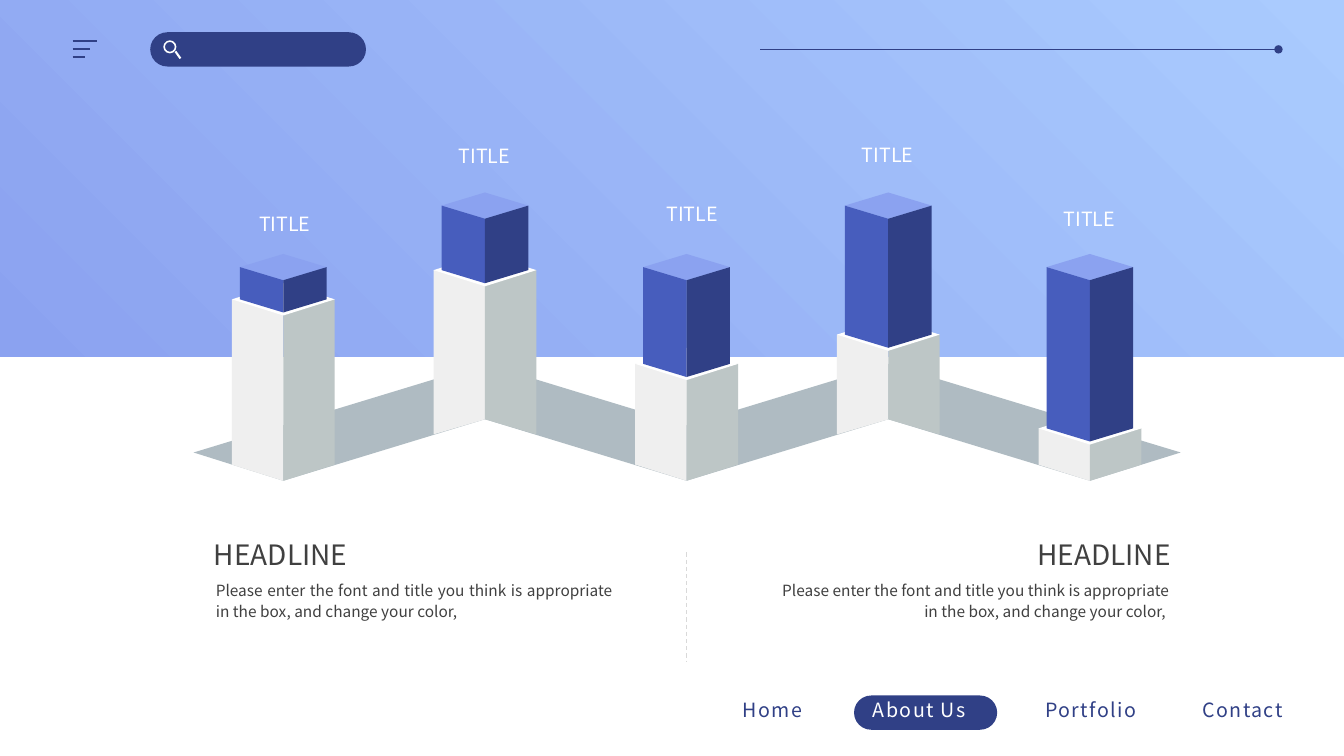
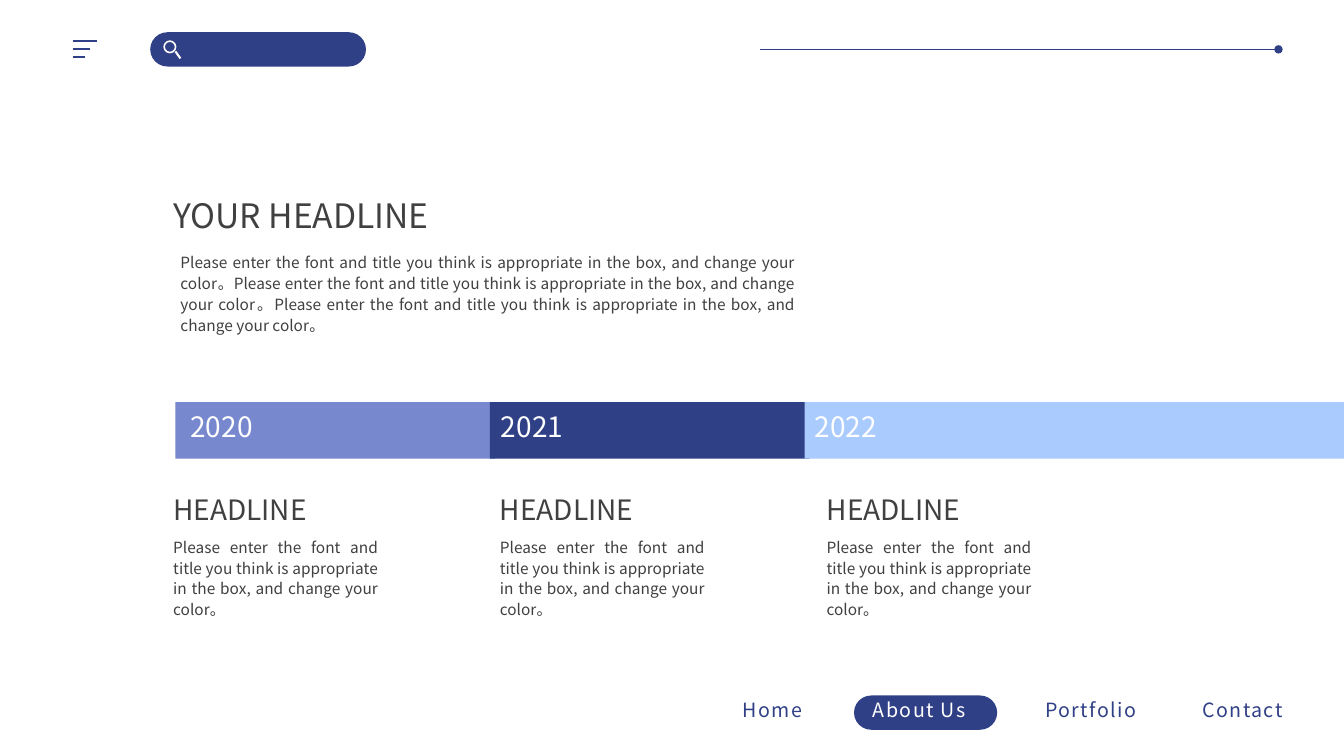
from dataclasses import dataclass

from lxml import etree
from pptx import Presentation
from pptx.dml.color import RGBColor
from pptx.enum.dml import MSO_LINE
from pptx.enum.shapes import MSO_CONNECTOR, MSO_SHAPE
from pptx.enum.text import MSO_ANCHOR, MSO_AUTO_SIZE, PP_ALIGN
from pptx.oxml.ns import qn
from pptx.util import Inches, Pt

LEFT, CENTER, RIGHT, JUSTIFY = (
    PP_ALIGN.LEFT, PP_ALIGN.CENTER, PP_ALIGN.RIGHT, PP_ALIGN.JUSTIFY)
RECT, PILL, DONUT = MSO_SHAPE.RECTANGLE, MSO_SHAPE.ROUNDED_RECTANGLE, MSO_SHAPE.DONUT
STRAIGHT, DASH = MSO_CONNECTOR.STRAIGHT, MSO_LINE.DASH
TOP = MSO_ANCHOR.TOP
FIT, NO_WRAP_FIT = MSO_AUTO_SIZE.SHAPE_TO_FIT_TEXT, False
TWO_CONTENT, TITLE_AND_CONTENT = 3, 1


@dataclass(frozen=True)
class Theme:
    font: str = "Noto Sans CJK SC"
    navy: str = "304086"
    blue: str = "475DBD"
    periwinkle: str = "8BA2F0"
    lavender: str = "7888CE"
    sky: str = "AACBFE"
    white: str = "FFFFFF"
    ink: str = "404040"
    rule: str = "D9D9D9"
    floor: str = "AFBBC2"
    pale: str = "EFEFEF"
    shade: str = "BDC6C6"
    title: int = 24
    headline: int = 20
    label: int = 14
    body: int = 11
    leading: int = 15


THEME = Theme()

# Content
NAV = [("Home", 7.27, 0.83), ("About Us", 8.56, 1.27),
       ("Portfolio", 10.27, 1.14), ("Contact", 11.83, 1.1)]
CURRENT_PAGE = "About Us"
PROMPT = "Please enter the font and title you think is appropriate in the box, and change your color"
HEADLINE = "HEADLINE"
# Towers: label, label left, label top, level of the blue block
TOWERS = [("TITLE", 2.18, 2.05, 1), ("TITLE", 4.16, 1.38, 2), ("TITLE", 6.22, 1.95, 3),
          ("TITLE", 8.16, 1.37, 4), ("TITLE", 10.16, 2.0, 5)]
# Timeline: year, year left, bar left, bar width, colour
YEARS = [("2020", 1.79, 1.74, 3.17, THEME.lavender),
         ("2021", 4.87, 4.86, 3.17, THEME.navy),
         ("2022", 7.98, 7.98, 5.35, THEME.sky)]

# Tower geometry
FIRST_TOWER, TOWER_STEP = 2.81, 2.0
LEVEL_HEIGHT = 0.32
BASE_HALF, BASE_DROP = 0.51, 0.16
BLOCK_HALF, BLOCK_DROP = 0.43, 0.13
# Block shoulder, foot at centre, foot at sides: front row, then back row
ROWS = [(2.65, 4.77, 4.61), (2.04, 4.16, 4.31)]
COLUMN_LEFT, COLUMN_STEP = 1.62, 3.24


def rgb(value):
    return RGBColor.from_string(value)


def put_text(slide, text, box, *, holder=None, size=THEME.body, color=THEME.ink,
             align=LEFT, leading=None, tracking=None, wrap=True):
    """Write text in a new box, or in a placeholder moved to the box."""
    left, top, width, height = map(Inches, box)
    if holder is None:
        target = slide.shapes.add_textbox(left, top, width, height)
    else:
        target = slide.placeholders[holder]
        target.left, target.top, target.width, target.height = left, top, width, height
    frame = target.text_frame
    frame.word_wrap, frame.auto_size, frame.vertical_anchor = wrap, FIT, TOP
    paragraph = frame.paragraphs[0]
    paragraph.alignment = align
    paragraph.space_before = Pt(0)
    if leading:
        paragraph.line_spacing = Pt(leading)
    run = paragraph.add_run()
    run.text = text
    run.font.size, run.font.name = Pt(size), THEME.font
    run.font.color.rgb = rgb(color)
    run_format = run._r.get_or_add_rPr()
    etree.SubElement(run_format, qn("a:ea")).set("typeface", THEME.font)
    if tracking:
        run_format.set("spc", str(tracking * 100))
    if holder is not None:
        indents = paragraph._p.get_or_add_pPr()
        indents.set("marL", "0")
        indents.set("indent", "0")
        etree.SubElement(indents, qn("a:buNone"))


def paint(shape, color):
    shape.shadow.inherit = False
    shape.fill.solid()
    shape.fill.fore_color.rgb = rgb(color)
    shape.line.fill.background()


def add_block(slide, kind, box, color, adjust=None):
    shape = slide.shapes.add_shape(kind, *map(Inches, box))
    paint(shape, color)
    if adjust is not None:
        shape.adjustments[0] = adjust
    return shape


def add_face(slide, points, color):
    start, *rest = [(Inches(x), Inches(y)) for x, y in points]
    outline = slide.shapes.build_freeform(*start)
    outline.add_line_segments(rest, close=True)
    paint(outline.convert_to_shape(), color)


def add_rule(slide, start, end, color, width, dash=None, tail=None):
    rule = slide.shapes.add_connector(STRAIGHT, *map(Inches, start + end))
    rule.line.color.rgb = rgb(color)
    rule.line.width = Pt(width)
    if dash:
        rule.line.dash_style = dash
    properties = rule.element.spPr
    if tail:
        etree.SubElement(properties.find(qn("a:ln")), qn("a:tailEnd")).set("type", tail)
    etree.SubElement(properties, qn("a:effectLst"))


def add_page_frame(slide):
    # Search bar
    add_block(slide, PILL, (1.49, 0.32, 2.14, 0.34), THEME.navy, 0.5)
    add_block(slide, DONUT, (1.62, 0.4, 0.18, 0.13)[:2] + (0.13, 0.13), THEME.white, 0.125)
    add_rule(slide, (1.74, 0.51), (1.79, 0.58), THEME.white, 1.5)
    # Menu icon
    for row, end in enumerate((0.96, 0.89, 0.84)):
        y = 0.41 + 0.08 * row
        add_rule(slide, (0.72, y), (end, y), THEME.navy, 1.5)
    add_rule(slide, (7.54, 0.49), (12.68, 0.49), THEME.navy, 0.5, tail="oval")
    # Navigation
    add_block(slide, PILL, (8.47, 6.9, 1.42, 0.34), THEME.navy, 0.5)
    for name, left, width in NAV:
        color = THEME.white if name == CURRENT_PAGE else THEME.navy
        put_text(slide, name, (left, 6.87, width, 0.34), size=THEME.label,
                 color=color, tracking=1, wrap=NO_WRAP_FIT)


def diamond(x, y, half, drop):
    return [(x, y - drop), (x - half, y), (x, y + drop), (x + half, y)]


def add_tower(slide, index, level):
    x = FIRST_TOWER + TOWER_STEP * index
    block_top, foot, side_foot = ROWS[index % 2]
    base_top = block_top + LEVEL_HEIGHT * level
    sides = ((-1, THEME.pale, THEME.blue), (1, THEME.shade, THEME.navy))
    for side, base_color, _ in sides:
        edge = x + side * BASE_HALF
        add_face(slide, [(edge, base_top), (edge, side_foot), (x, foot), (x, base_top)],
                 base_color)
    add_face(slide, diamond(x, base_top, BASE_HALF, BASE_DROP), THEME.white)
    add_face(slide, diamond(x, block_top, BLOCK_HALF, BLOCK_DROP), THEME.periwinkle)
    for side, _, block_color in sides:
        edge = x + side * BLOCK_HALF
        add_face(slide, [(edge, block_top), (edge, base_top), (x, base_top + BLOCK_DROP),
                         (x, block_top + BLOCK_DROP)], block_color)


def build_towers(deck):
    slide = deck.slides.add_slide(deck.slide_layouts[TWO_CONTENT])
    # Sky band
    band = add_block(slide, RECT, (0, 0, 13.33, 3.54), THEME.sky)
    band.fill.gradient()
    band.fill.gradient_angle = 45
    for stop, color in zip(band.fill.gradient_stops, (THEME.periwinkle, THEME.sky)):
        stop.color.rgb = rgb(color)
    add_page_frame(slide)
    # Headlines and descriptions
    put_text(slide, HEADLINE, (2.02, 5.28, 2.21, 0.44), holder=0,
             size=THEME.headline, align=JUSTIFY)
    put_text(slide, HEADLINE, (9.5, 5.28, 2.21, 0.44), size=THEME.headline, align=RIGHT)
    for holder, left, align in ((1, 2.04, JUSTIFY), (2, 7.56, RIGHT)):
        put_text(slide, PROMPT + ", ", (left, 5.69, 4.14, 0.51), holder=holder,
                 align=align, leading=THEME.leading)
    add_rule(slide, (6.81, 5.48), (6.81, 6.56), THEME.rule, 0.75, dash=DASH)
    # Zigzag floor
    centers = [FIRST_TOWER + TOWER_STEP * i for i in range(len(TOWERS))]
    front = [(x, ROWS[i % 2][1]) for i, x in enumerate(centers)]
    back = [(x, 3.61 if i % 2 else 4.22) for i, x in enumerate(centers)][1:-1]
    add_face(slide, [(1.92, 4.49), *front, (11.71, 4.49), *reversed(back)], THEME.floor)
    for index, (label, left, top, level) in enumerate(TOWERS):
        add_tower(slide, index, level)
        put_text(slide, label, (left, top, 1.29, 0.34), size=THEME.label,
                 color=THEME.white, align=CENTER)


def build_timeline(deck):
    slide = deck.slides.add_slide(deck.slide_layouts[TITLE_AND_CONTENT])
    add_page_frame(slide)
    put_text(slide, "YOUR HEADLINE", (1.62, 1.88, 3.17, 0.5), holder=0, size=THEME.title)
    put_text(slide, (PROMPT + "。") * 3, (1.69, 2.44, 6.3, 1.35), holder=1,
             align=JUSTIFY, leading=THEME.leading)
    for index, (year, year_left, bar_left, width, color) in enumerate(YEARS):
        # Year bar
        add_block(slide, RECT, (bar_left, 3.99, width, 0.56), color)
        put_text(slide, year, (year_left, 4.01, 0.91, 0.44), size=THEME.headline,
                 color=THEME.white)
        # Column below the bar
        left = COLUMN_LEFT + COLUMN_STEP * index
        put_text(slide, HEADLINE, (left, 4.84, 2.21, 0.44), size=THEME.headline)
        put_text(slide, PROMPT + "。", (left, 5.26, 2.23, 0.94),
                 align=JUSTIFY, leading=THEME.leading)


def main():
    deck = Presentation()
    deck.slide_width, deck.slide_height = Inches(13.33), Inches(7.5)
    build_towers(deck)
    build_timeline(deck)
    deck.save("out.pptx")


if __name__ == "__main__":
    main()
